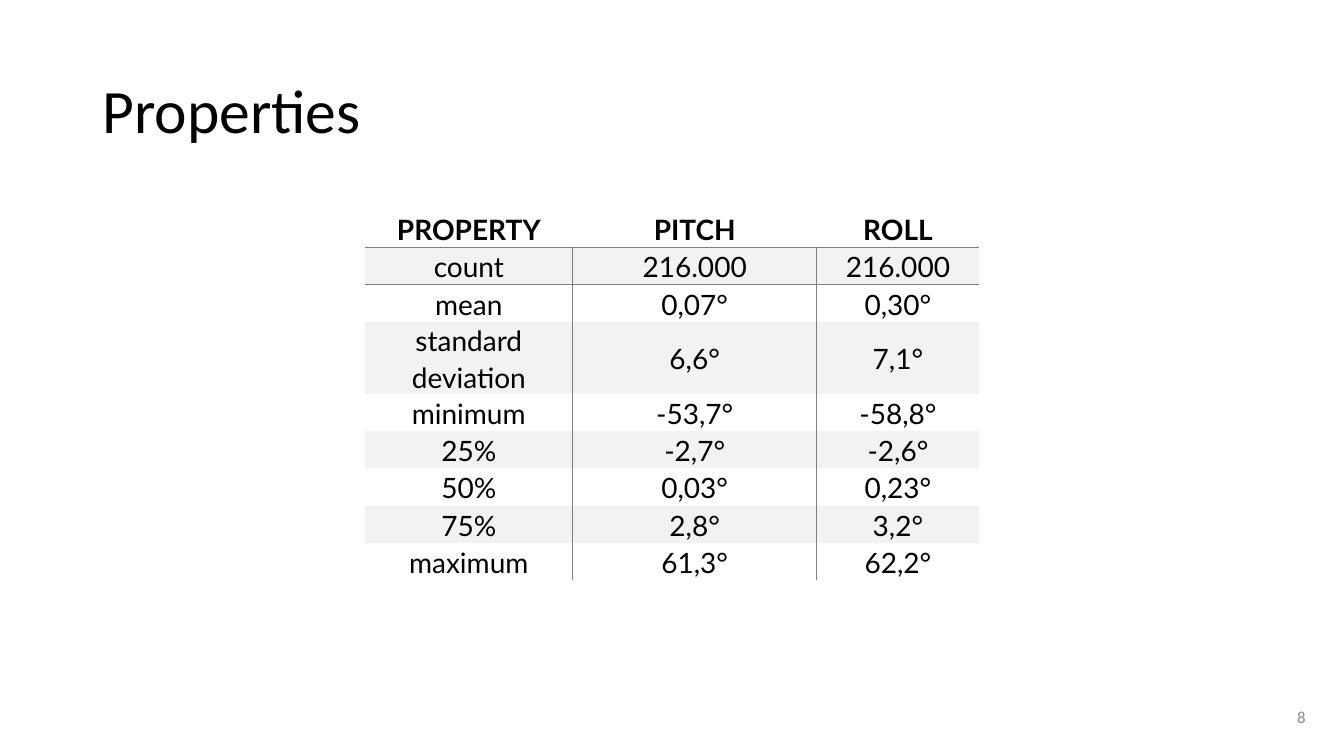
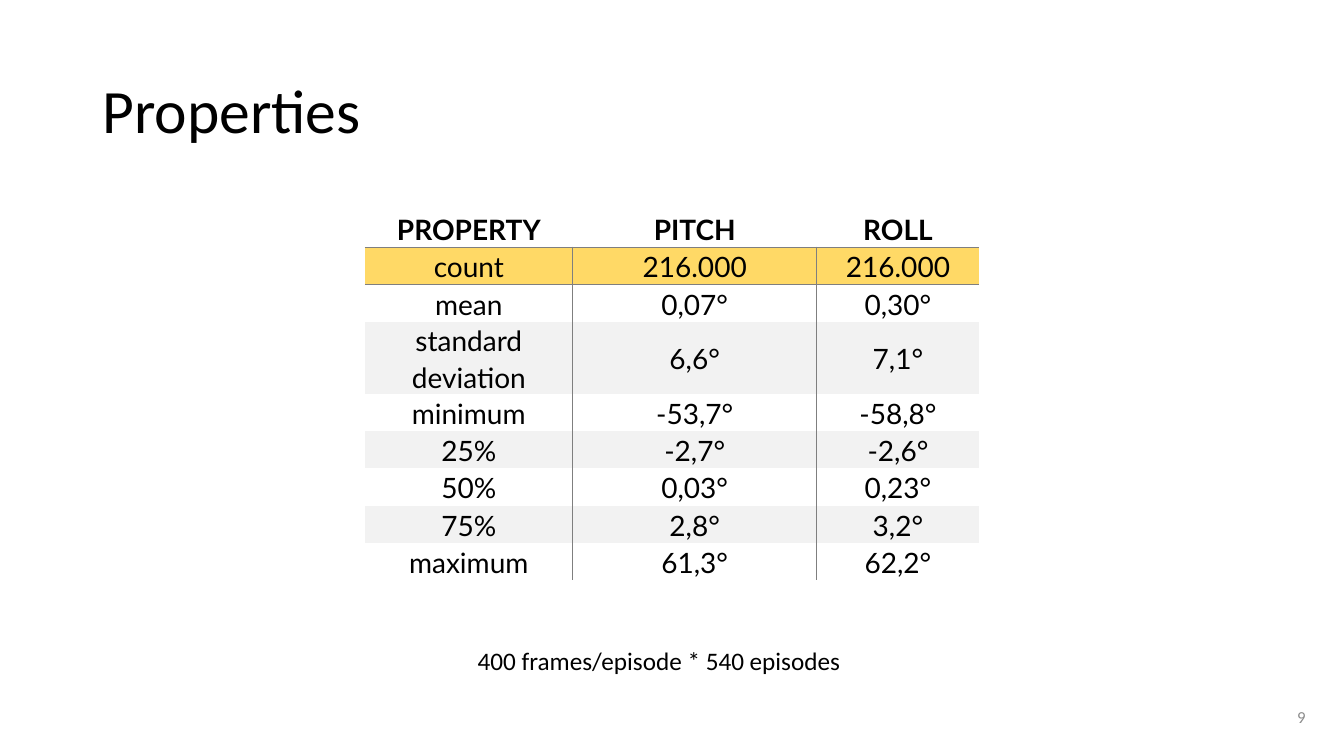
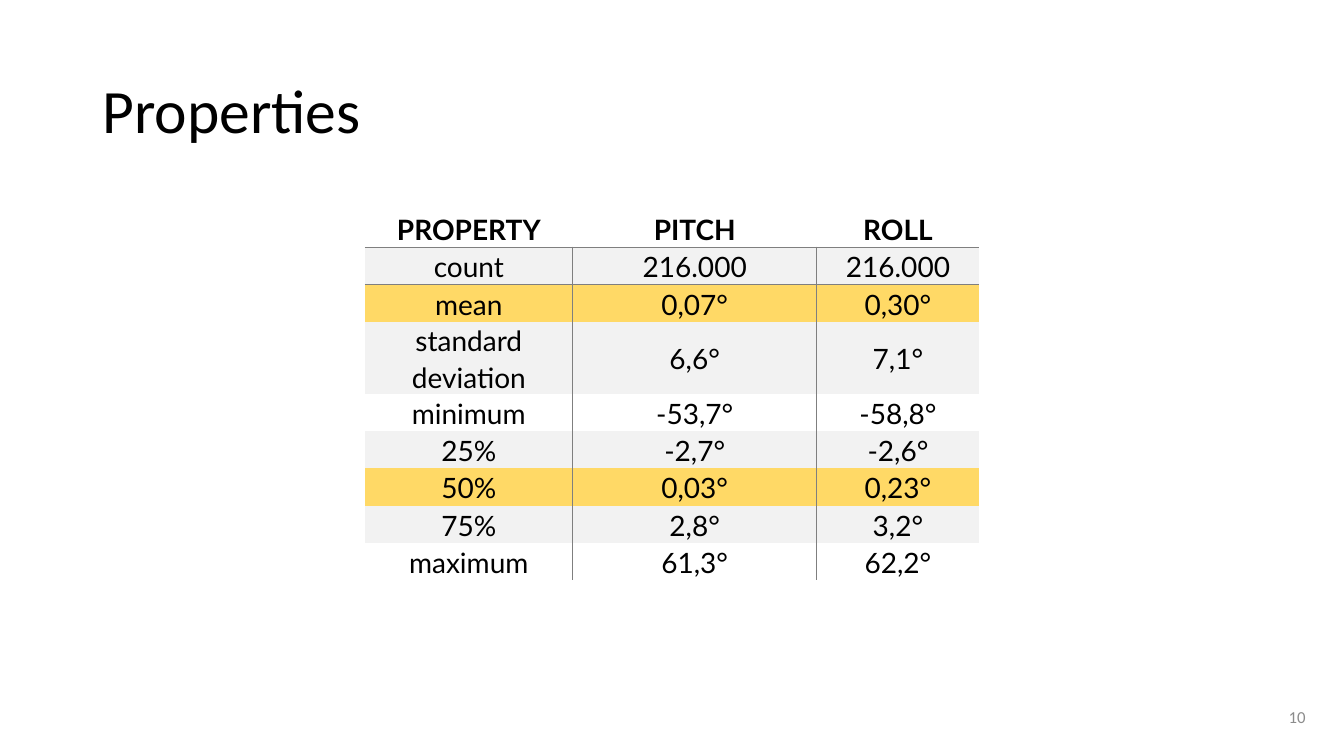
"""Build three slides that walk through the pitch and roll properties."""
from lxml.etree import SubElement
from pptx import Presentation
from pptx.dml.color import RGBColor
from pptx.enum.text import MSO_ANCHOR as Anchor, PP_ALIGN as Align
from pptx.oxml.ns import qn
from pptx.util import Emu, Inches, Pt

BLACK = RGBColor(0x00, 0x00, 0x00)
NUMBER_GREY = RGBColor(0x8C, 0x8C, 0x8C)
RULE_GREY = RGBColor(0x7F, 0x7F, 0x7F)
BAND_GREY = RGBColor(0xF2, 0xF2, 0xF2)
HIGHLIGHT = RGBColor(0xFF, 0xD9, 0x66)

GRID_COLUMNS, GRID_ROWS = 160, 90
CELL = Inches(1) / 12
TABLE_LEFT, TABLE_TOP = 43.44, 25
TABLE_COLUMNS = (24.75, 29.05, 19.35)
TABLE_ROW = 4.44
PLAIN_TABLE_STYLE = "{2D5ABB26-0587-4C30-8999-92F81FD0307C}"

PROPERTIES = (
    ("PROPERTY", "PITCH", "ROLL"),
    ("count", "216.000", "216.000"),
    ("mean", "0,07°", "0,30°"),
    ("standard deviation", "6,6°", "7,1°"),
    ("minimum", "-53,7°", "-58,8°"),
    ("25%", "-2,7°", "-2,6°"),
    ("50%", "0,03°", "0,23°"),
    ("75%", "2,8°", "3,2°"),
    ("maximum", "61,3°", "62,2°"),
)

PAGES = (
    (8, (), None),
    (9, ("count",), "400 frames/episode * 540 episodes "),
    (10, ("mean", "50%"), None),
)


def grid(cells):
    return Emu(round(cells * CELL))


class Deck:
    def __init__(self):
        self.show = Presentation()
        self.show.slide_width = grid(GRID_COLUMNS)
        self.show.slide_height = grid(GRID_ROWS)
        self.page = None

    def add_page(self, number):
        self.page = self.show.slides.add_slide(self.show.slide_layouts[6])
        self.text(str(number), (129.6, 82.9, 27, 4.8), 12, NUMBER_GREY,
                  align=Align.RIGHT, anchor=Anchor.MIDDLE)

    def style(self, para, size, color=BLACK, font="Calibri", bold=False,
              align=Align.LEFT, spacing=1.0):
        para.alignment = align
        para.line_spacing = spacing
        for span in para.runs:
            span.font.size = Pt(size)
            span.font.name = font
            span.font.bold = bold
            span.font.color.rgb = color

    def text(self, words, place, size, color=BLACK, anchor=Anchor.TOP, **look):
        box = self.page.shapes.add_textbox(*map(grid, place))
        frame = box.text_frame
        frame.word_wrap = True
        frame.vertical_anchor = anchor
        frame.text = words
        self.style(frame.paragraphs[0], size, color, **look)

    def title(self, words):
        self.text(words, (11, 4.8, 145.3, 17.4), 44,
                  anchor=Anchor.MIDDLE, spacing=0.9)

    def caption(self, words):
        self.text(words, (TABLE_LEFT, 76.2, 70.7, 4.8), 18, align=Align.CENTER)

    def border(self, cell, side):
        properties = cell._tc.get_or_add_tcPr()
        line = SubElement(properties, qn("a:ln" + side), w=str(Pt(1)))
        fill = SubElement(line, qn("a:solidFill"))
        SubElement(fill, qn("a:srgbClr"), val=str(RULE_GREY))

    def table(self, records, highlighted):
        frame = self.page.shapes.add_table(
            len(records), len(TABLE_COLUMNS), grid(TABLE_LEFT), grid(TABLE_TOP),
            grid(sum(TABLE_COLUMNS)), grid(TABLE_ROW * len(records)))
        table = frame.table
        table.first_row = table.horz_banding = False
        next(frame._element.iter(qn("a:tableStyleId"))).text = PLAIN_TABLE_STYLE
        for column, width in zip(table.columns, TABLE_COLUMNS):
            column.width = grid(width)
        for row_index, record in enumerate(records):
            table.rows[row_index].height = grid(TABLE_ROW)
            for column_index, words in enumerate(record):
                cell = table.cell(row_index, column_index)
                self.fill_cell(cell, words, row_index, record[0] in highlighted)
                self.rule_cell(cell, row_index, column_index)

    def fill_cell(self, cell, words, row_index, is_highlighted):
        cell.text = words
        cell.vertical_anchor = Anchor.MIDDLE
        cell.margin_left = cell.margin_right = Inches(0.07)
        cell.margin_top = cell.margin_bottom = 0
        para = cell.text_frame.paragraphs[0]
        para.space_after = Pt(8)
        self.style(para, 20, font="Lato", bold=row_index == 0,
                   align=Align.CENTER, spacing=1.07)
        cell.fill.background()
        if is_highlighted or row_index % 2:
            cell.fill.solid()
            cell.fill.fore_color.rgb = HIGHLIGHT if is_highlighted else BAND_GREY

    def rule_cell(self, cell, row_index, column_index):
        properties = cell._tc.get_or_add_tcPr()
        fill = properties[0]
        sides = (
            ("L", row_index > 0 and column_index == 1),
            ("R", row_index > 0 and column_index == 0),
            ("T", row_index == 1),
            ("B", row_index == 0),
        )
        for side, is_ruled in sides:
            if is_ruled:
                self.border(cell, side)
        properties.append(fill)


def main():
    deck = Deck()
    for number, highlighted, note in PAGES:
        deck.add_page(number)
        deck.title("Properties")
        deck.table(PROPERTIES, highlighted)
        if note:
            deck.caption(note)
    deck.show.save("out.pptx")


if __name__ == "__main__":
    main()
